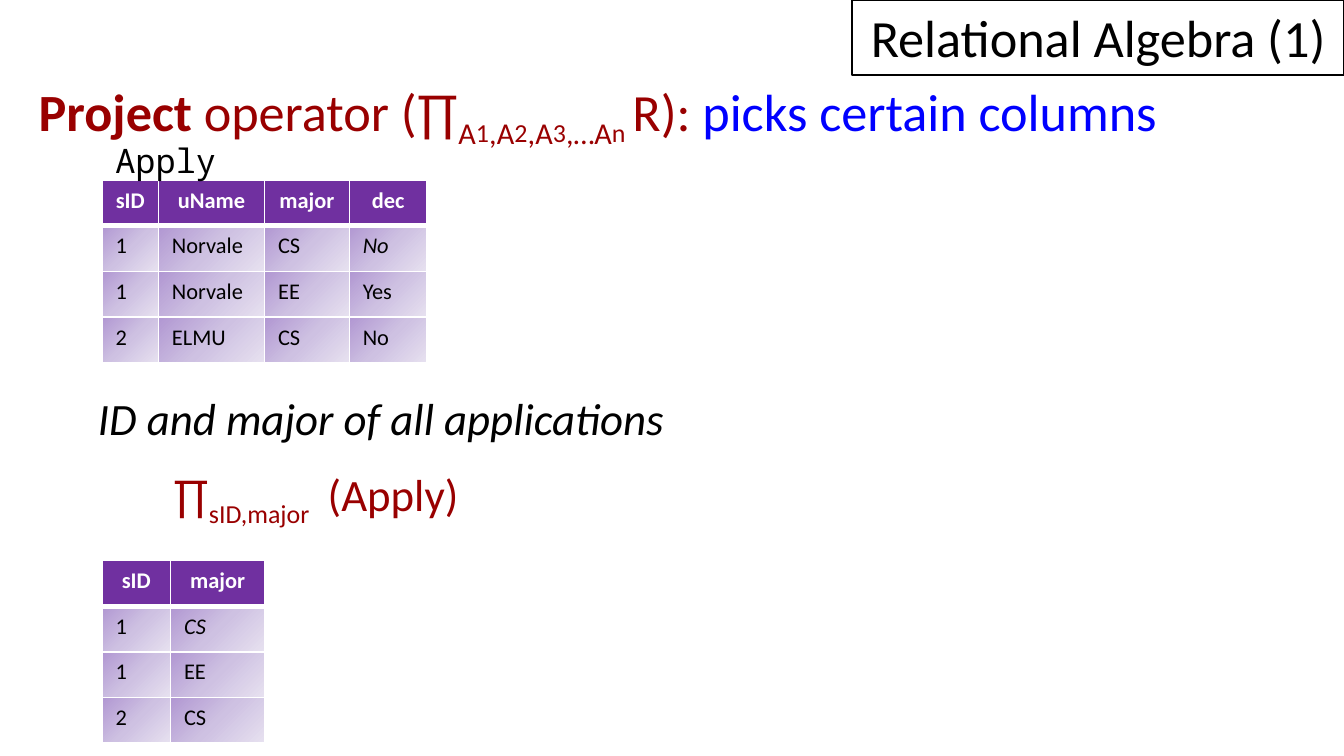
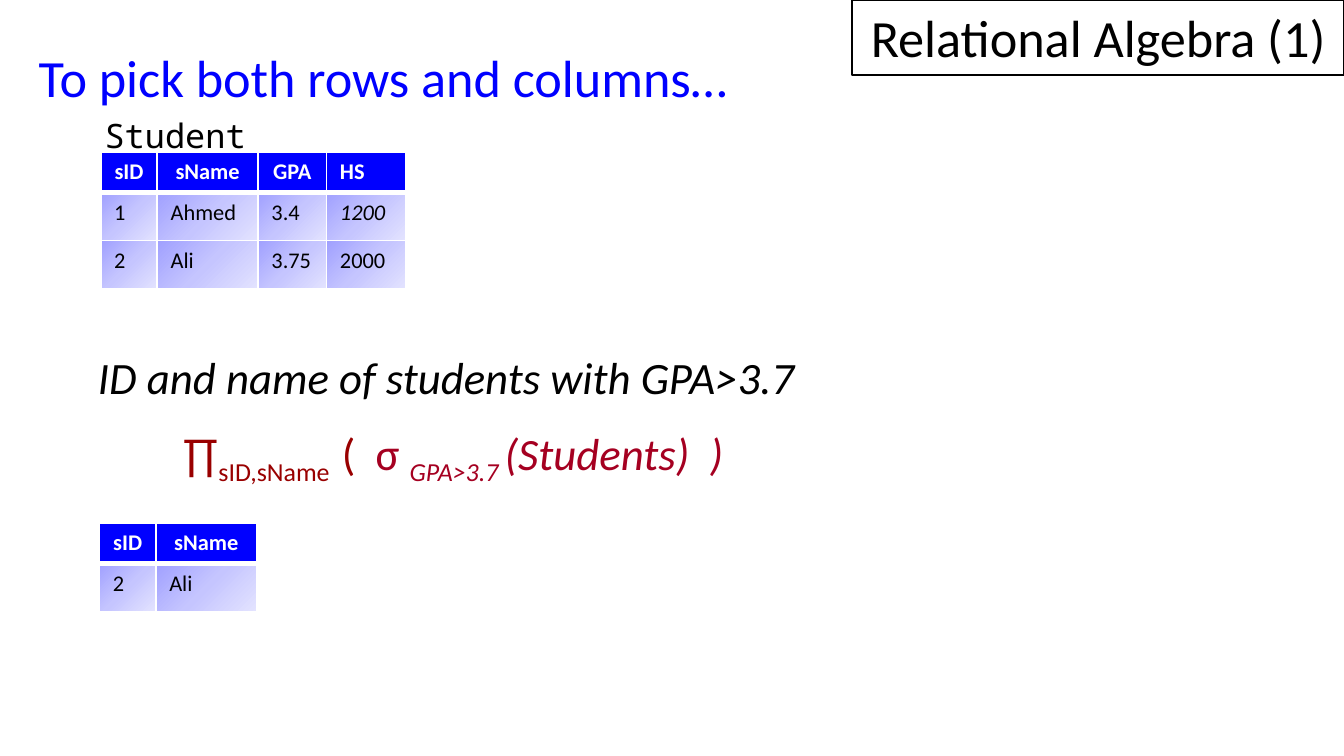
"""Build two slides on the relational algebra project operator."""
from dataclasses import dataclass

from lxml import etree
from pptx import Presentation
from pptx.dml.color import RGBColor
from pptx.enum import text
from pptx.oxml.ns import qn
from pptx.util import Inches, Pt


@dataclass(frozen=True)
class Theme:
    font: str = "Calibri"
    mono: str = "Noto Sans Mono"
    black: str = "000000"
    white: str = "FFFFFF"
    blue: str = "0000FF"
    maroon: str = "990000"
    crimson: str = "A50021"
    head: int = 28
    query: int = 24
    index: int = 24
    label: int = 18
    cell: int = 12


T = Theme()
PURPLE = ("7030A0", ("B197D2", "CEC1E2", "E7E1F0"))
BLUE = (T.blue, ("A0A0FF", "C5C5FF", "E3E3FF"))

RED = dict(color=T.maroon)
SUB = dict(RED, base=-25)
IDX = dict(SUB, size=T.index)
CRIMSON = dict(color=T.crimson)
CRIMSON_IT = dict(CRIMSON, italic=True)

TITLE = "Relational Algebra (1)"
SLIDES = [
    dict(
        heading=[
            ("Project ", dict(RED, bold=True)), ("operator (∏", RED),
            ("A", SUB), ("1", IDX), (",A", SUB), ("2", IDX), (",A", SUB),
            ("3", IDX), (",…A", SUB), ("n", IDX), (" ", SUB),
            ("R): ", RED), ("picks certain columns", dict(color=T.blue)),
        ],
        heading_top=0.54,
        label=("Apply", 0.76, 0.99, 0.96),
        question="ID and major of all applications",
        formula=[("∏", RED), ("sID,major", SUB), (" ", dict(RED, gap=4.3)),
                 ("(Apply)", RED)],
        query_top=2.86,
        formula_left=1.1,
        palette=PURPLE,
        tables=[
            dict(at=(0.76, 1.34), cols=(0.42, 0.79, 0.63, 0.58), rows=(0.34, 0.34),
                 data=[("sID", "uName", "major", "dec"),
                       ("1", "Norvale", "CS", "No"),
                       ("1", "Norvale", "EE", "Yes"),
                       ("2", "ELMU", "CS", "No")],
                 italic=(1, 3)),
            dict(at=(0.76, 4.17), cols=(0.51, 0.7), rows=(0.34, 0.34),
                 data=[("sID", "major"), ("1", "CS"), ("1", "EE"), ("2", "CS")],
                 italic=(1, 1)),
        ],
    ),
    dict(
        heading=[("To pick both rows and columns…", dict(color=T.blue))],
        heading_top=0.29,
        label=("Student", 0.68, 0.81, 1.27),
        question="ID and name of students with GPA>3.7",
        formula=[("∏", RED), ("sID,sName", SUB), (" ", dict(RED, gap=1)), ("(", RED),
                 (" ", dict(RED, gap=5.4)), ("σ ", CRIMSON),
                 ("GPA>3.7 ", dict(CRIMSON_IT, base=-25)),
                 ("(Students)", CRIMSON_IT), (" ", dict(CRIMSON_IT, gap=5.4)),
                 (")", CRIMSON_IT)],
        query_top=2.55,
        formula_left=1.17,
        palette=BLUE,
        tables=[
            dict(at=(0.75, 1.13), cols=(0.42, 0.75, 0.51, 0.59), rows=(0.27, 0.36),
                 data=[("sID", "sName", "GPA", "HS"),
                       ("1", "Ahmed", "3.4", "1200"),
                       ("2", "Ali", "3.75", "2000")],
                 italic=(1, 3), left_head="HS"),
            dict(at=(0.74, 3.89), cols=(0.42, 0.75), rows=(0.27, 0.36),
                 data=[("sID", "sName"), ("2", "Ali")]),
        ],
    ),
]


def add_run(p, value, size=T.cell, color=T.black, font=T.font,
            bold=False, italic=False, base=0, gap=0):
    r = p.add_run()
    r.text = value
    f = r.font
    f.name, f.size, f.bold, f.italic = font, Pt(size), bold, italic
    f.color.rgb = RGBColor.from_string(color)
    rpr = r._r.get_or_add_rPr()
    if base:
        rpr.set("baseline", str(base * 1000))
    if gap:
        rpr.set("spc", str(round(gap * 100)))


def add_runs(p, runs, size):
    for value, style in runs:
        add_run(p, value, **{"size": size, **style})


def indent(p, left):
    p._p.get_or_add_pPr().set("marL", str(Inches(left)))


def add_box(s, left, top, width, height, wrap=True):
    sp = s.shapes.add_textbox(*map(Inches, (left, top, width, height)))
    sp.text_frame.word_wrap = wrap
    return sp.text_frame


def solid(parent, color):
    fill = etree.SubElement(parent, qn("a:solidFill"))
    etree.SubElement(fill, qn("a:srgbClr"), val=color)


def set_borders(cell, bottom):
    tcpr = cell._tc.get_or_add_tcPr()
    for side, width in zip("LRTB", (1, 1, 1, bottom)):
        solid(etree.SubElement(tcpr, qn("a:ln" + side), w=str(Pt(width))), T.white)


def set_gradient(cell, colors):
    grad = etree.SubElement(cell._tc.get_or_add_tcPr(), qn("a:gradFill"), rotWithShape="1")
    stops = etree.SubElement(grad, qn("a:gsLst"))
    for i, color in enumerate(colors):
        stop = etree.SubElement(stops, qn("a:gs"), pos=str(50000 * i))
        etree.SubElement(stop, qn("a:srgbClr"), val=color)
    etree.SubElement(grad, qn("a:lin"), ang=str(45 * 60000), scaled="1")


def add_table(s, palette, at, cols, rows, data, italic=None, left_head=None):
    heights = [rows[0]] + [rows[1]] * (len(data) - 1)
    size = (sum(cols), sum(heights))
    table = s.shapes.add_table(len(data), len(cols), *map(Inches, at + size)).table
    table.horz_banding = False
    for col, width in zip(table.columns, cols):
        col.width = Inches(width)
    for row, height in zip(table.rows, heights):
        row.height = Inches(height)
    for i, values in enumerate(data):
        for j, value in enumerate(values):
            cell = table.cell(i, j)
            p = cell.text_frame.paragraphs[0]
            head = i == 0
            set_borders(cell, 3 if head else 1)
            if head:
                cell.fill.solid()
                cell.fill.fore_color.rgb = RGBColor.from_string(palette[0])
            else:
                set_gradient(cell, palette[1])
            centred = head and value != left_head
            p.alignment = text.PP_ALIGN.CENTER if centred else text.PP_ALIGN.LEFT
            add_run(p, value, color=T.white if head else T.black,
                    bold=head, italic=(i, j) == italic)


def add_title(s):
    sp = s.shapes.title
    sp.left, sp.top, sp.width, sp.height = map(Inches, (6.34, 0, 3.66, 0.56))
    sp.line.color.rgb = RGBColor.from_string(T.black)
    sp.line.width = Pt(0.75)
    tf = sp.text_frame
    tf.auto_size = text.MSO_AUTO_SIZE.NONE
    tf.vertical_anchor = text.MSO_ANCHOR.BOTTOM
    p = tf.paragraphs[0]
    p.alignment = text.PP_ALIGN.CENTER
    add_run(p, TITLE, size=T.head)


def add_slide(prs, item):
    s = prs.slides.add_slide(prs.slide_layouts[5])
    add_title(s)
    p = add_box(s, 0.09, item["heading_top"], 9.66, 0.6).paragraphs[0]
    indent(p, 0.1)
    add_runs(p, item["heading"], T.head)

    tf = add_box(s, 0.09, item["query_top"], 7.77, 1.15)
    p = tf.paragraphs[0]
    indent(p, 0.54)
    p.space_after = Pt(12)
    add_run(p, item["question"], size=T.query, italic=True)
    p = tf.add_paragraph()
    indent(p, item["formula_left"])
    add_runs(p, item["formula"], T.query)

    for table in item["tables"]:
        add_table(s, item["palette"], **table)
    name, left, top, width = item["label"]
    p = add_box(s, left, top, width, 0.4, wrap=False).paragraphs[0]
    add_run(p, name, size=T.label, font=T.mono)


prs = Presentation()
prs.slide_width = Inches(10)
prs.slide_height = prs.slide_width * 9 // 16
for item in SLIDES:
    add_slide(prs, item)
prs.save("out.pptx")
